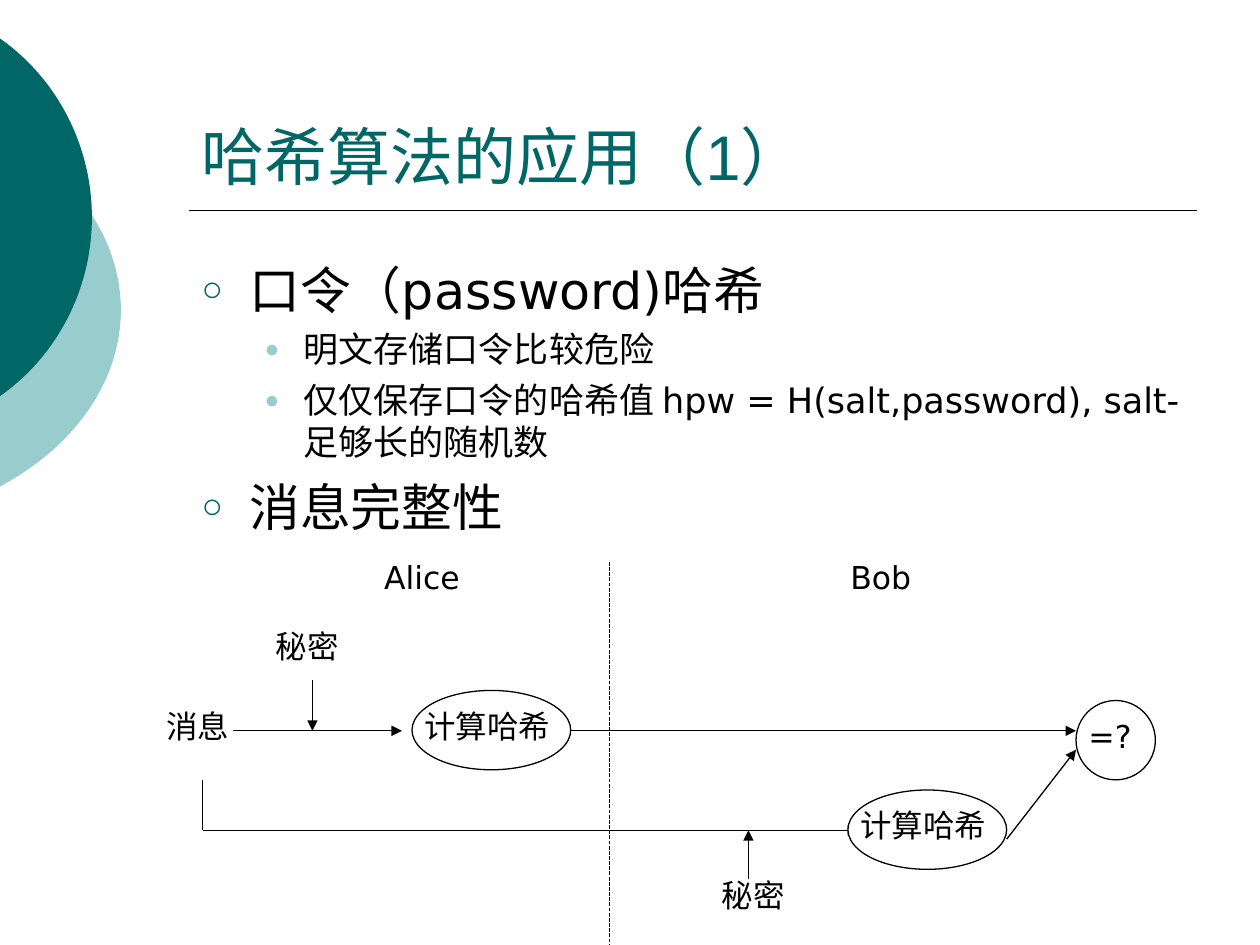
"""Build a slide on uses of hash algorithms, with a message integrity diagram."""
from dataclasses import dataclass
from math import acos, cos, sin

from lxml.etree import SubElement
from pptx import Presentation
from pptx.dml.color import RGBColor
from pptx.enum.dml import MSO_LINE
from pptx.enum.shapes import MSO_CONNECTOR, MSO_SHAPE
from pptx.enum.text import MSO_ANCHOR, MSO_AUTO_SIZE, PP_ALIGN
from pptx.oxml.ns import qn
from pptx.util import Inches, Pt


@dataclass(frozen=True)
class Theme:
    teal: str = "006666"
    pale: str = "99CCCC"
    ink: str = "000000"
    paper: str = "FFFFFF"
    head_font: str = "Arial"
    body_font: str = "DejaVu Sans"
    title: int = 36
    label: int = 18
    thin: float = 0.75
    rule: float = 1


T = Theme()
W, H = 10, 7.5
LEFT, WIDTH = 0.15 * W, 0.8 * W
TITLE = "哈希算法的应用（1）"
BULLETS = [
    (0, "口令（password)哈希"),
    (1, "明文存储口令比较危险"),
    (1, "仅仅保存口令的哈希值 hpw = H(salt,password), salt-足够长的随机数"),
    (0, "消息完整性"),
]
LEVELS = [
    dict(size=29, before=7.3, char="○", color=T.teal, margin=0.38, hang=0.38),
    dict(size=20, before=5, char="●", color=T.pale, margin=0.81, hang=0.31),
]
DISCS = [(-3.54, 0.75, 4.5, 3.42, T.pale), (-2.65, 0, 3.38, 3.45, T.teal)]

COL = dict(stem=1.61, message=1.85, secret_a=2.48, to_hash=3.19, hash_a=3.27,
           hash_a_end=4.53, divider=4.84, secret_b=5.94, hash_b=6.73,
           to_hash_b=6.81, hash_b_end=7.99, check=8.54)
ROW = dict(divider=4.46, secret_a=5.4, upper=5.8, to_check=5.95, stem=6.19,
           lower=6.59, from_hash=6.66, secret_b=6.98, bottom=H)
LINES = [
    ("message", "upper", "to_hash", "upper", True),
    ("secret_a", "secret_a", "secret_a", "upper", True),
    ("hash_a_end", "upper", "check", "upper", True),
    ("stem", "stem", "stem", "lower", False),
    ("stem", "lower", "to_hash_b", "lower", True),
    ("hash_b_end", "from_hash", "check", "to_check", True),
    ("secret_b", "secret_b", "secret_b", "lower", True),
]
LABELS = [("Alice", 2.95, 4.38, 0.94), ("Bob", 6.65, 4.38, 0.94),
          ("消息", 1.22, 5.56, 0.71), ("秘密", 2.09, 4.93, 0.71),
          ("秘密", 5.63, 6.9, 0.71)]
NODES = [("计算哈希", COL["hash_a"], 5.48, 1.26),
         ("计算哈希", COL["hash_b"], 6.27, 1.26),
         ("=?", COL["check"], 5.56, 0.63)]
NODE_H, LABEL_H, LABEL_DROP = 0.63, 0.4, 0.08


def rgb(value):
    return RGBColor.from_string(value)


def apply(obj, **values):
    for name, value in values.items():
        setattr(obj, name, value)


def write(p, text, size, font, color):
    r = p.add_run()
    r.text = text
    apply(r.font, size=Pt(size), name=font)
    r.font.color.rgb = rgb(color)


def place(sp, x, y, w, h):
    apply(sp, left=Inches(x), top=Inches(y), width=Inches(w), height=Inches(h))


def bullet(p, level):
    pPr = p._p.get_or_add_pPr()
    pPr.set("marL", str(Inches(level["margin"])))
    pPr.set("indent", str(-Inches(level["hang"])))
    SubElement(SubElement(pPr, qn("a:buClr")), qn("a:srgbClr"), val=level["color"])
    SubElement(pPr, qn("a:buSzPct"), val="70000")
    SubElement(pPr, qn("a:buFont"), typeface=T.head_font)
    SubElement(pPr, qn("a:buChar"), char=level["char"])


def add_disc(shapes, x, y, w, h, color, steps=60):
    rx, ry = w / 2, h / 2
    cx, cy = x + rx, y + ry
    edge = acos(-cx / rx)
    angles = [edge * (2 * i / steps - 1) for i in range(steps + 1)]
    pts = [(Inches(cx + rx * cos(a)), Inches(cy + ry * sin(a))) for a in angles]
    fb = shapes.build_freeform(*pts[0])
    fb.add_line_segments(pts[1:], close=True)
    s = fb.convert_to_shape()
    s.shadow.inherit = False
    s.fill.solid()
    s.fill.fore_color.rgb = rgb(color)
    s.line.fill.background()


def add_line(shapes, x1, y1, x2, y2, width=T.thin, arrow=False, dash=None):
    c = shapes.add_connector(MSO_CONNECTOR.STRAIGHT, *map(Inches, (x1, y1, x2, y2)))
    c.line.color.rgb = rgb(T.ink)
    apply(c.line, width=Pt(width), dash_style=dash)
    if arrow:
        SubElement(c.line._ln, qn("a:tailEnd"), type="triangle")
    SubElement(c._element.spPr, qn("a:effectLst"))


def add_label(shapes, text, x, y, w):
    tf = shapes.add_textbox(*map(Inches, (x, y, w, LABEL_H))).text_frame
    tf.word_wrap = True
    p = tf.paragraphs[0]
    p.space_before = Pt(11.2)
    write(p, text, T.label, T.body_font, T.ink)


def add_node(shapes, text, x, y, w):
    s = shapes.add_shape(MSO_SHAPE.OVAL, *map(Inches, (x, y, w, NODE_H)))
    s.shadow.inherit = False
    s.fill.solid()
    s.fill.fore_color.rgb = rgb(T.paper)
    s.line.color.rgb = rgb(T.ink)
    s.line.width = Pt(T.thin)
    add_label(shapes, text, x, y + LABEL_DROP, w)


def fill_placeholders(slide):
    title, body = slide.placeholders
    place(title, LEFT, 0.33, WIDTH, 1.25)
    place(body, LEFT, 2, WIDTH, 2.46)
    for sp, anchor in ((title, MSO_ANCHOR.BOTTOM), (body, MSO_ANCHOR.TOP)):
        apply(sp.text_frame, vertical_anchor=anchor, word_wrap=True,
              auto_size=MSO_AUTO_SIZE.NONE)
    p = title.text_frame.paragraphs[0]
    p.alignment = PP_ALIGN.LEFT
    write(p, TITLE, T.title, T.head_font, T.teal)
    tf = body.text_frame
    for i, (depth, text) in enumerate(BULLETS):
        p = tf.add_paragraph() if i else tf.paragraphs[0]
        level = LEVELS[depth]
        apply(p, level=depth, space_before=Pt(level["before"]))
        bullet(p, level)
        write(p, text, level["size"], T.body_font, T.ink)


def main():
    prs = Presentation()
    apply(prs, slide_width=Inches(W), slide_height=Inches(H))
    slide = prs.slides.add_slide(prs.slide_layouts[1])
    shapes = slide.shapes
    fill_placeholders(slide)
    for disc in DISCS:
        add_disc(shapes, *disc)
    add_line(shapes, LEFT, 1.67, LEFT + WIDTH, 1.67, T.rule)
    for x1, y1, x2, y2, arrow in LINES:
        add_line(shapes, COL[x1], ROW[y1], COL[x2], ROW[y2], arrow=arrow)
    for label in LABELS:
        add_label(shapes, *label)
    for node in NODES:
        add_node(shapes, *node)
    add_line(shapes, COL["divider"], ROW["divider"], COL["divider"], ROW["bottom"],
             dash=MSO_LINE.SQUARE_DOT)
    prs.save("out.pptx")


if __name__ == "__main__":
    main()
